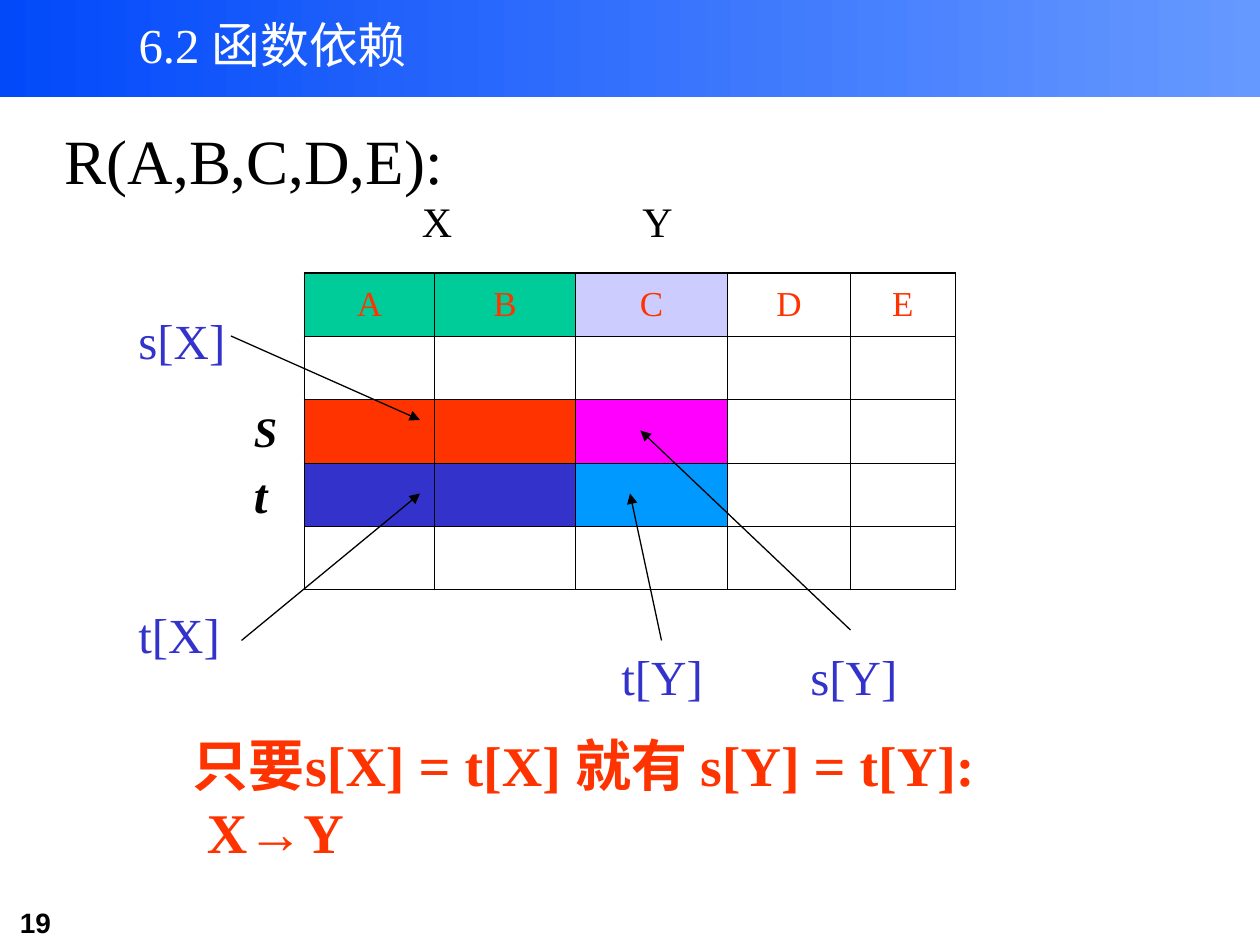
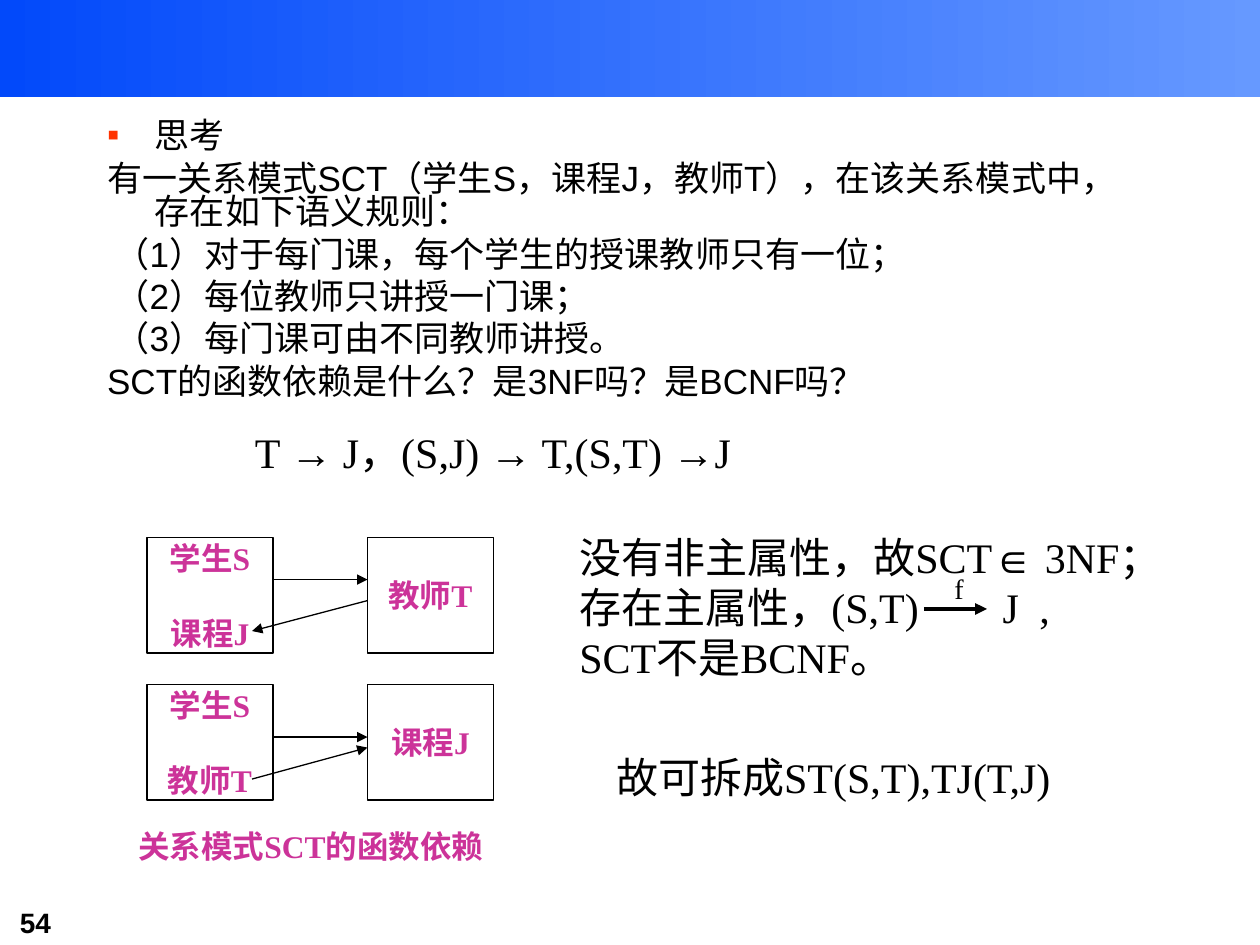
from lxml import etree
from pptx import Presentation
from pptx.dml.color import RGBColor
from pptx.enum.shapes import MSO_CONNECTOR, MSO_SHAPE
from pptx.enum.text import MSO_ANCHOR, MSO_AUTO_SIZE, PP_ALIGN
from pptx.oxml.ns import qn
from pptx.util import Inches, Pt

RECT = MSO_SHAPE.RECTANGLE
LINE = MSO_CONNECTOR.STRAIGHT
MID = MSO_ANCHOR.MIDDLE
FIXED = MSO_AUTO_SIZE.NONE
LEFT, MIDDLE = PP_ALIGN.LEFT, PP_ALIGN.CENTER

HEX = {
    "black": "000000", "white": "FFFFFF", "deep": "0249FA", "pale": "6699FF",
    "red": "FF3300", "blue": "3333CC", "pink": "CC3399", "green": "00CC99",
    "lilac": "CCCCFF", "magenta": "FF00FF", "sky": "0099FF",
}
INK = {name: RGBColor.from_string(code) for name, code in HEX.items()}
SERIF, SANS = "Times New Roman", "Arial"

# The grid: 120 columns by 90 rows, each a twelfth of an inch
WIDE, HIGH = 120, 90
UNIT = Inches(10) // WIDE

deck = Presentation()
deck.slide_width, deck.slide_height = WIDE * UNIT, HIGH * UNIT


def write(frame, lines, size, ink="black", bold=False, face=SERIF, align=LEFT):
    """Fill a text frame, one paragraph a line, with arrows in the sans font."""
    for row, line in enumerate(lines):
        para = frame.paragraphs[0] if row == 0 else frame.add_paragraph()
        if "\t" in line:
            tabs = etree.SubElement(para._p.get_or_add_pPr(), qn("a:tabLst"))
            for stop in (3.36, 3.65):
                etree.SubElement(tabs, qn("a:tab"), pos=str(Inches(stop)), algn="l")
        for at, bit in enumerate(line.split("→")):
            if at:
                mark = para.add_run()
                mark.text, mark.font.name = "→", SANS
            if bit:
                para.add_run().text = bit
        para.alignment = align
        font = para.font
        font.name, font.size, font.bold = face, Pt(size), bold
        font.color.rgb = INK[ink]
    return frame


def arrow(page, x1, y1, x2, y2, width=0.75):
    """Draw a line with a triangle at its far end."""
    line = page.shapes.add_connector(
        LINE, *(int(n * UNIT) for n in (x1, y1, x2, y2)))
    line.line.color.rgb, line.line.width = INK["black"], Pt(width)
    etree.SubElement(line.line._get_or_add_ln(), qn("a:tailEnd"), type="triangle")
    etree.SubElement(line.element.spPr, qn("a:effectLst"))


# Both slides: band at the top, number at the foot
pages = []
for layout, number in ((5, "19"), (1, "54")):
    page = deck.slides.add_slide(deck.slide_layouts[layout])
    pages.append(page)
    band = page.shapes.add_shape(RECT, 0, 0, WIDE * UNIT, Inches(0.77))
    band.shadow.inherit = False
    band.line.fill.background()
    band.fill.gradient()
    band.fill.gradient_angle = 0
    for stop, name in zip(band.fill.gradient_stops, ("deep", "pale")):
        stop.color.rgb = INK[name]
    page.shapes._spTree.insert(2, band.element)
    foot = page.shapes.add_textbox(
        Inches(0.06), Inches(7.14), Inches(1.22), Inches(0.36))
    write(foot.text_frame, [number], 16, bold=True, face=SANS)
first, second = pages

# Slide 1: title
title = first.shapes.title
title.left, title.top, title.width, title.height = (
    12 * UNIT, Inches(0.1), 79 * UNIT, 7 * UNIT)
frame = write(title.text_frame, ["6.2 函数依赖"], 27.9, "white")
frame.vertical_anchor, frame.auto_size = MID, FIXED
frame.paragraphs[0].line_spacing = 0.8

# Slide 1: relation table
cols = (12.4, 13.4, 14.5, 11.7, 10)
fills = {
    0: ("green", "green", "lilac"),
    2: ("red", "red", "magenta"),
    3: ("blue", "blue", "sky"),
}
rows = 5
tall = int(6.03 * UNIT)
last = len(cols) - 1
grid = first.shapes.add_table(
    rows, len(cols), 29 * UNIT, 26 * UNIT, int(sum(cols) * UNIT), rows * tall).table
grid.first_row = grid.horz_banding = False
for col, width in enumerate(cols):
    grid.columns[col].width = int(width * UNIT)
for row in range(rows):
    grid.rows[row].height = tall
    for col in range(len(cols)):
        cell = grid.cell(row, col)
        cell.vertical_anchor = MID
        sides = {"lnL": col == 0, "lnR": col == last,
                 "lnT": row == 0, "lnB": row == rows - 1}
        for side, outer in sides.items():
            edge = etree.SubElement(cell._tc.get_or_add_tcPr(), qn("a:" + side),
                                    w=str(Pt(1.08 if outer else 0.45)))
            paint = etree.SubElement(edge, qn("a:solidFill"))
            etree.SubElement(paint, qn("a:srgbClr"), val=HEX["black"])
        names = fills.get(row, ())
        if col < len(names):
            cell.fill.solid()
            cell.fill.fore_color.rgb = INK[names[col]]
        else:
            cell.fill.background()
        if row == 0:
            write(cell.text_frame, ["ABCDE"[col]], 20, "red", align=MIDDLE)

# Labels of both slides: slide, column, row, width, height, lines, size, ink, bold
labels = (
    (first, 5, 11, 42, 8.4, ["R(A,B,C,D,E):"], 36, "black", False),
    (first, 39, 18, 6, 6, ["X"], 24, "black", False),
    (first, 60, 18, 6, 6, ["Y"], 24, "black", False),
    (first, 58, 61, 13, 6.8, ["t[Y]"], 28, "blue", False),
    (first, 12, 57, 13, 6.8, ["t[X]"], 28, "blue", False),
    (first, 12, 29, 13, 6.8, ["s[X]"], 28, "blue", False),
    (first, 76, 61, 13, 6.8, ["s[Y]"], 28, "blue", False),
    (first, 23, 38, 6, 6, ["S"], 24, "black", True),
    (first, 23, 43.6, 6, 6.8, ["t"], 28, "black", True),
    (first, 17.2, 69, 90, 14,
     ["只要s[X] = t[X] 就有 s[Y] = t[Y]:", "X→Y"], 32, "red", True),
    (second, 23.1, 40, 47.8, 6, ["T → J，(S,J) → T,(S,T) →J"], 24, "black", False),
    (second, 12, 78.2, 46, 4.8, ["关系模式SCT的函数依赖"], 18, "pink", True),
    (second, 54, 50, 60, 15.6,
     ["没有非主属性，故SCT∈ 3NF；", "存在主属性，(S,T)\tJ\t,", "SCT不是BCNF。"],
     24, "black", False),
    (second, 89.7, 53.8, 4, 4.4, ["f"], 16, "black", False),
    (second, 57.5, 71, 48, 6, ["故可拆成ST(S,T),TJ(T,J)"], 24, "black", False),
)
for page, x, y, w, h, lines, size, ink, bold in labels:
    box = page.shapes.add_textbox(*(int(n * UNIT) for n in (x, y, w, h)))
    frame = write(box.text_frame, lines, size, ink, bold)
    frame.word_wrap = True
    for para in frame.paragraphs:
        if para.text in ("S", "t"):
            para.font.italic = True
        elif para.text == "X→Y":
            para._p.get_or_add_pPr().set("marL", str(Inches(0.11)))

# Slide 1: arrows from labels to cells
for ends in ((22, 32, 40, 40), (23, 61, 40, 47), (63, 61, 60, 47), (81, 60, 61, 41)):
    arrow(first, *ends)

# Slide 2: question
holder = second.shapes.title.element
holder.getparent().remove(holder)
body = second.placeholders[1]
body.left, body.top, body.width, body.height = (
    n * UNIT for n in (9, 11, 100, 37))
frame = body.text_frame
frame.auto_size = FIXED
points = (
    "思考",
    "有一关系模式SCT（学生S，课程J，教师T），在该关系模式中，存在如下语义规则：",
    "（1）对于每门课，每个学生的授课教师只有一位；",
    "（2）每位教师只讲授一门课；",
    "（3）每门课可由不同教师讲授。",
    "SCT的函数依赖是什么？是3NF吗？是BCNF吗？",
)
for row, point in enumerate(points):
    para = frame.paragraphs[0] if row == 0 else frame.add_paragraph()
    props = para._p.get_or_add_pPr()
    props.set("marL", str(Inches(0.38)))
    props.set("indent", str(Inches(-0.32 if point.startswith("（") else -0.38)))
    if row == 0:
        tint = etree.SubElement(props, qn("a:buClr"))
        etree.SubElement(tint, qn("a:srgbClr"), val=HEX["red"])
        etree.SubElement(props, qn("a:buChar"), char="▪")
    else:
        etree.SubElement(props, qn("a:buNone"))
    para.text = point
    para.line_spacing, para.space_before = 0.8, Pt(5 if row else 0)
    para.font.name, para.font.size = SANS, Pt(20)
    para.font.color.rgb = INK["black"]

# Slide 2: dependency boxes, two rows of two
boxes = ((["学生S", "课程J"], ["教师T"]), (["学生S", "教师T"], ["课程J"]))
for row, pair in enumerate(boxes):
    for col, lines in enumerate(pair):
        box = second.shapes.add_shape(
            RECT, (14 + 21 * col) * UNIT, int((51.2 + 14 * row) * UNIT),
            12 * UNIT, 11 * UNIT)
        box.shadow.inherit = False
        box.fill.background()
        box.line.color.rgb, box.line.width = INK["black"], Pt(0.75)
        frame = write(box.text_frame, lines, 18, "pink", True, align=MIDDLE)
        frame.word_wrap, frame.vertical_anchor = False, MID
        for para in frame.paragraphs[1:]:
            para.space_before = Pt(21.5)

# Slide 2: dependency arrows
for ends in ((26, 55.2, 35, 55.2), (35, 57.2, 24, 60.1),
             (26, 70.2, 35, 70.2), (24, 74.2, 35, 71.2)):
    arrow(second, *ends)
arrow(second, 88, 58, 94, 58, 2.25)

deck.save("out.pptx")
